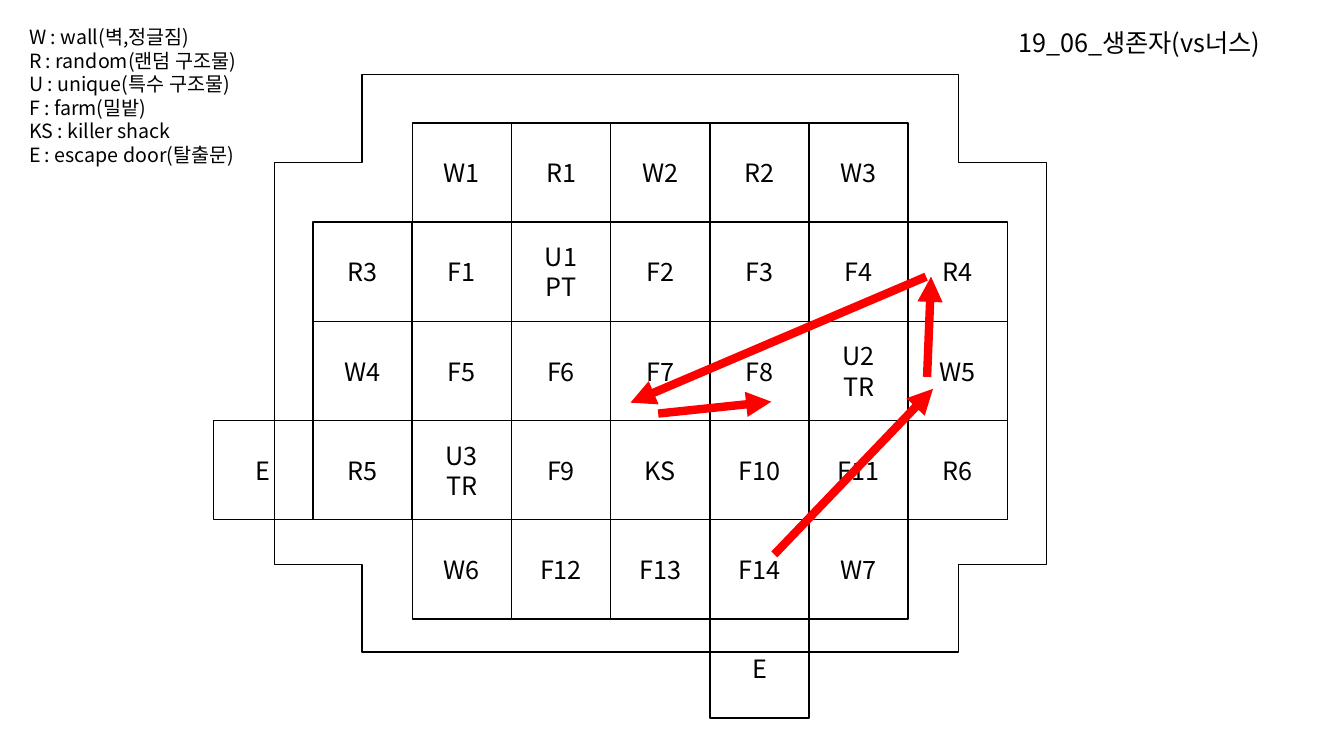
from lxml import etree
from pptx import Presentation
from pptx import util as u
from pptx.dml.color import RGBColor
from pptx.enum import shapes, text
from pptx.oxml.ns import qn

WIDE, HIGH = 13.33, 7.5
FONT = "Noto Sans CJK KR"
COLORS = {"ink": "000000", "path": "FF0000"}

# Map grid: side of a tile, and the corner of column 0, row 0
SIDE = 0.984
LEFT, TOP = 2.12, 1.22

# Each row: first column, then the labels from left to right
ROWS = [
    (2, ["W1", "R1", "W2", "R2", "W3"]),
    (1, ["R3", "F1", "U1\nPT", "F2", "F3", "F4", "R4"]),
    (1, ["W4", "F5", "F6", "F7", "F8", "U2\nTR", "W5"]),
    (0, ["E", "R5", "U3\nTR", "F9", "KS", "F10", "F11", "R6"]),
    (2, ["W6", "F12", "F13", "F14", "W7"]),
    (5, ["E"]),
]

# Chase route in grid units: (column, row) to (column, row)
ROUTE = [
    ((5.65, 4.35), (7.25, 2.68)),
    ((7.19, 2.56), (7.23, 1.55)),
    ((7.18, 1.55), (4.2, 2.82)),
    ((4.48, 2.93), (5.62, 2.81)),
]

LEGEND = [
    "W : wall(벽,정글짐)",
    "R : random(랜덤 구조물)",
    "U : unique(특수 구조물)",
    "F : farm(밀밭)",
    "KS : killer shack\nE : escape door(탈출문)",
]
TITLE = "19_06_생존자(vs너스)"


def color(name):
    return RGBColor.from_string(COLORS[name])


def spot(col, row):
    """Turn grid units into a place on the slide."""
    return u.Inches(LEFT + col * SIDE), u.Inches(TOP + row * SIDE)


def write(frame, lines, size, align=text.PP_ALIGN.LEFT):
    frame.word_wrap = True
    for i, line in enumerate(lines):
        para = frame.add_paragraph() if i else frame.paragraphs[0]
        para.text = line
        para.alignment = align
        font = para.font
        font.size = u.Pt(size)
        font.name = FONT
        font.color.rgb = color("ink")
        # Hangul takes the East Asian typeface
        props = para._p.find(".//" + qn("a:defRPr"))
        etree.SubElement(props, qn("a:ea"), typeface=FONT)


def outline(slide, kind, left, top, width, height):
    shape = slide.shapes.add_shape(kind, left, top, width, height)
    shape.shadow.inherit = False
    shape.fill.background()
    shape.line.color.rgb = color("ink")
    shape.line.width = u.Pt(1)
    return shape


def tile(slide, col, row, label):
    side = u.Inches(SIDE)
    box = outline(slide, shapes.MSO_SHAPE.RECTANGLE, *spot(col, row), side, side)
    box.text_frame.vertical_anchor = text.MSO_ANCHOR.MIDDLE
    write(box.text_frame, [label], 18, text.PP_ALIGN.CENTER)


def note(slide, left, top, width, height, lines, size):
    box = slide.shapes.add_textbox(*map(u.Inches, (left, top, width, height)))
    write(box.text_frame, lines, size)


def arrow(slide, start, end):
    link = slide.shapes.add_connector(
        shapes.MSO_CONNECTOR.STRAIGHT, *spot(*start), *spot(*end))
    link.line.color.rgb = color("path")
    link.line.width = u.Pt(6)
    etree.SubElement(link.line._get_or_add_ln(), qn("a:tailEnd"), type="triangle")
    etree.SubElement(link._element.spPr, qn("a:effectLst"))


def main():
    deck = Presentation()
    deck.slide_width, deck.slide_height = u.Inches(WIDE), u.Inches(HIGH)
    slide = deck.slides.add_slide(deck.slide_layouts[6])

    # Outer wall of the map
    wall = outline(slide, shapes.MSO_SHAPE.CROSS,
                   *map(u.Inches, (2.72, 0.74, 7.66, 5.73)))
    wall.adjustments[0] = 0.152

    # Legend and title
    note(slide, 0.19, 0.2, 2.34, 1.51, LEGEND, 14)
    note(slide, 10, 0.22, 3.12, 0.4, [TITLE], 18)

    # Tiles
    for row, (first, labels) in enumerate(ROWS):
        for col, label in enumerate(labels, first):
            tile(slide, col, row, label)

    # Route
    for start, end in ROUTE:
        arrow(slide, start, end)

    deck.save("out.pptx")


main()
